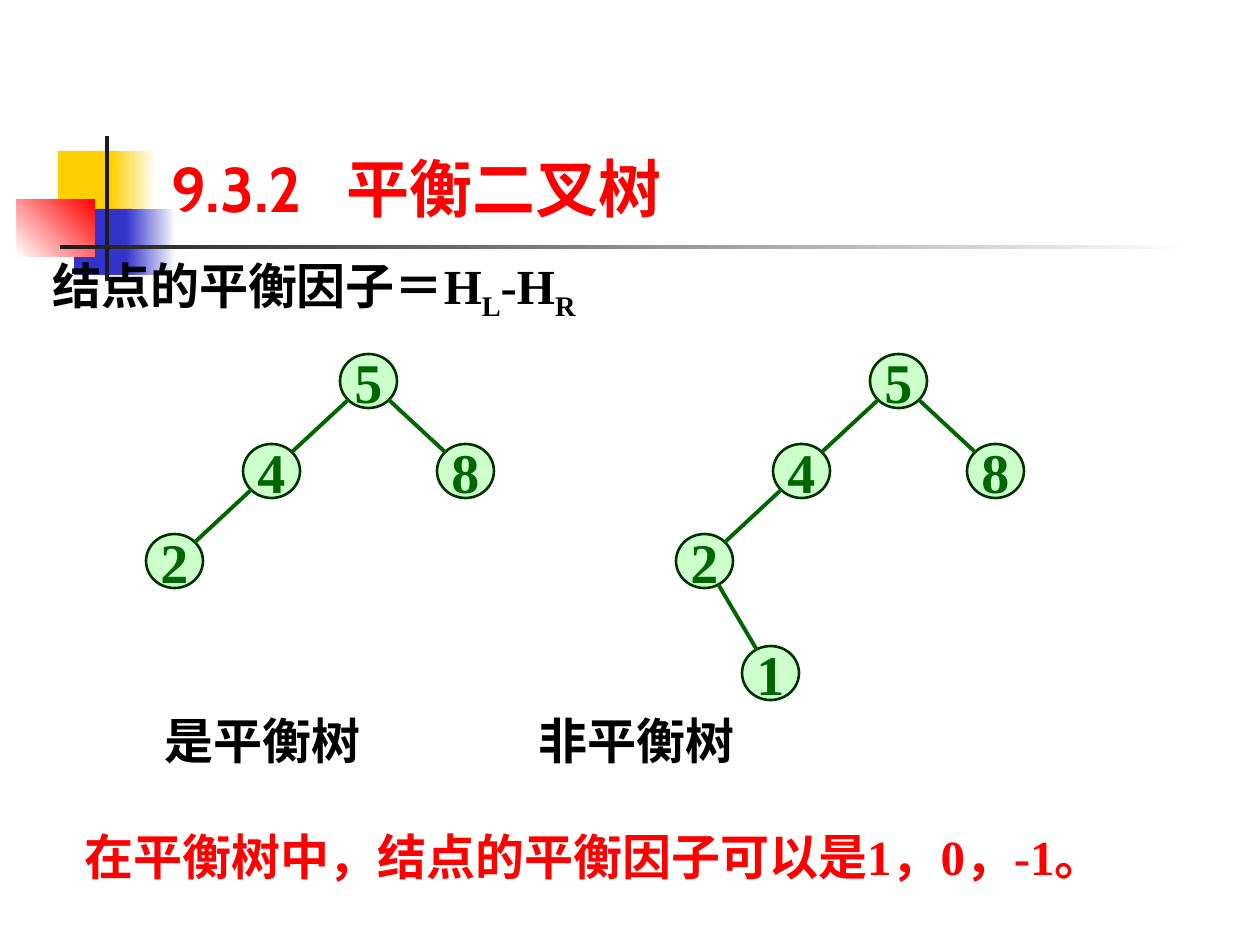
from dataclasses import dataclass
from math import hypot

from lxml.etree import SubElement
from pptx import Presentation
from pptx.dml.color import RGBColor as Rgb
from pptx.enum.shapes import MSO_CONNECTOR as Connector, MSO_SHAPE as Shape
from pptx.enum.text import MSO_ANCHOR as Anchor, PP_ALIGN as Align
from pptx.oxml.ns import qn
from pptx.util import Pt

PX = 914400 / 126  # EMU in one px


@dataclass(frozen=True)
class Theme:
    white: str = "FFFFFF"
    black: str = "000000"
    red: str = "FF0000"
    yellow: str = "FFCF01"
    blue: str = "3333CC"
    ink: str = "1C1C1C"
    node_fill: str = "CCFFCC"
    node_line: str = "003300"
    branch: str = "006600"
    title_size: int = 36
    body_size: int = 28
    node_size: int = 32
    sans: str = "Arial"
    serif: str = "Times New Roman"
    title_font: str = "Cabin"
    chinese: str = "Noto Sans CJK SC"


THEME = Theme()
NODE_W, NODE_H = 57, 54
STEP_X, STEP_Y = 97, 90


def emu(*lengths):
    return [round(length * PX) for length in lengths]


def set_all(target, values):
    for name, value in values.items():
        setattr(target, name, value)


def add_span(para, text, font, size, color, baseline=0):
    span = para.add_run()
    span.text = text
    set_all(span.font, {"name": font, "size": Pt(size), "bold": True})
    span.font.color.rgb = Rgb.from_string(color)
    props = span.font._element
    SubElement(props, qn("a:ea")).set("typeface", THEME.chinese)
    if baseline:
        props.set("baseline", str(baseline * 1000))


def add_text(page, box, spans, size, color, anchor=Anchor.TOP, tab=None):
    """Each span is (text, font) or (text, font, baseline in percent)."""
    frame = page.shapes.add_textbox(*emu(*box)).text_frame
    set_all(frame, {"word_wrap": True, "vertical_anchor": anchor})
    para = frame.paragraphs[0]
    for text, font, *baseline in spans:
        add_span(para, text, font, size, color, *baseline)
    if tab:
        stops = SubElement(para._p.get_or_add_pPr(), qn("a:tabLst"))
        stop = SubElement(stops, qn("a:tab"))
        stop.set("pos", str(emu(tab)[0]))
        stop.set("algn", "l")


def add_block(page, box, start, end=None, angle=0):
    """A borderless rectangle, shaded from start to end if end is given."""
    block = page.shapes.add_shape(Shape.RECTANGLE, *emu(*box))
    block.shadow.inherit = False
    block.line.fill.background()
    if end is None:
        block.fill.solid()
        block.fill.fore_color.rgb = Rgb.from_string(start)
        return
    block.fill.gradient()
    block.fill.gradient_angle = angle
    for stop, color in zip(block.fill.gradient_stops, (start, end)):
        stop.color.rgb = Rgb.from_string(color)


def add_ornament(page, left, top):
    """Coloured squares with the cross of dark bars."""
    parts = [
        ((41, 15, 60, 66), THEME.yellow),
        ((94, 15, 45, 66), THEME.yellow, THEME.white),
        ((57, 73, 58, 66), THEME.blue),
        ((109, 73, 50, 66), THEME.blue, THEME.white),
        ((0, 63, 78, 58), THEME.white, THEME.red, 45),
        ((88, 0, 4, 145), THEME.ink),
        ((43, 109, 1134, 4), THEME.ink, THEME.white),
    ]
    for (x, y, width, height), *colors in parts:
        add_block(page, (left + x, top + y, width, height), *colors)


def add_node(page, left, top, label):
    node = page.shapes.add_shape(Shape.OVAL, *emu(left, top, NODE_W, NODE_H))
    node.shadow.inherit = False
    node.fill.solid()
    node.fill.fore_color.rgb = Rgb.from_string(THEME.node_fill)
    node.line.color.rgb = Rgb.from_string(THEME.node_line)
    node.line.width = Pt(1.5)
    frame = node.text_frame
    set_all(frame, {"word_wrap": False, "vertical_anchor": Anchor.MIDDLE})
    para = frame.paragraphs[0]
    para.alignment = Align.CENTER
    add_span(para, label, THEME.serif, THEME.node_size, THEME.branch)


def add_branch(page, parent, child):
    """A line from rim to rim along the line of the two node centres."""
    dx, dy = child[0] - parent[0], child[1] - parent[1]
    reach = hypot(dx / (NODE_W / 2), dy / (NODE_H / 2))
    middle_x, middle_y = NODE_W / 2, NODE_H / 2
    ends = emu(
        parent[0] + middle_x + dx / reach, parent[1] + middle_y + dy / reach,
        child[0] + middle_x - dx / reach, child[1] + middle_y - dy / reach,
    )
    line = page.shapes.add_connector(Connector.STRAIGHT, *ends)
    line.line.color.rgb = Rgb.from_string(THEME.branch)
    line.line.width = Pt(2.25)
    SubElement(line._element.spPr, qn("a:effectLst"))


def add_tree(page, left, top, offsets, branches):
    places = {label: (left + x, top + y) for label, (x, y) in offsets.items()}
    for label, place in places.items():
        add_node(page, *place, label)
    for parent, child in branches:
        add_branch(page, places[parent], places[child])


def add_trees(page, left, top):
    """The balanced tree, and the same tree with one more node."""
    offsets = {
        "5": (2 * STEP_X, 0),
        "4": (STEP_X, STEP_Y),
        "8": (3 * STEP_X, STEP_Y),
        "2": (0, 2 * STEP_Y),
    }
    branches = ["54", "42", "58"]
    add_tree(page, left, top, offsets, branches)
    add_tree(page, left + 530, top, offsets | {"1": (66, 292)}, branches + ["21"])


def add_texts(page):
    sans, serif, size = THEME.sans, THEME.serif, THEME.body_size
    # Captions under the trees
    add_text(page, (152, 704, 936, 72), [("是平衡树\t非平衡树", THEME.chinese)],
             size, THEME.black, tab=374)
    # Conclusion
    add_text(page, (72, 820, 1123, 72),
             [("在平衡树中，结点的平衡因子可以是", sans),
              ("1，0，-1", serif), ("。", sans)], size, THEME.red)
    # Definition
    add_text(page, (40, 249, 582, 72),
             [("结点的平衡因子＝", sans), ("H", serif), ("L", serif, -25),
              ("-H", serif), ("R", serif, -25)], size, THEME.black)
    # Title
    add_text(page, (159, 29, 1074, 202), [("9.3.2\t平衡二叉树", THEME.title_font)],
             THEME.title_size, THEME.red, Anchor.BOTTOM, tab=175)


def main():
    deck = Presentation()
    width, height = emu(1260, 945)
    set_all(deck, {"slide_width": width, "slide_height": height})
    page = deck.slides.add_slide(deck.slide_layouts[6])
    add_ornament(page, 17, 136)
    add_trees(page, 146, 354)
    add_texts(page)
    deck.save("out.pptx")


if __name__ == "__main__":
    main()
